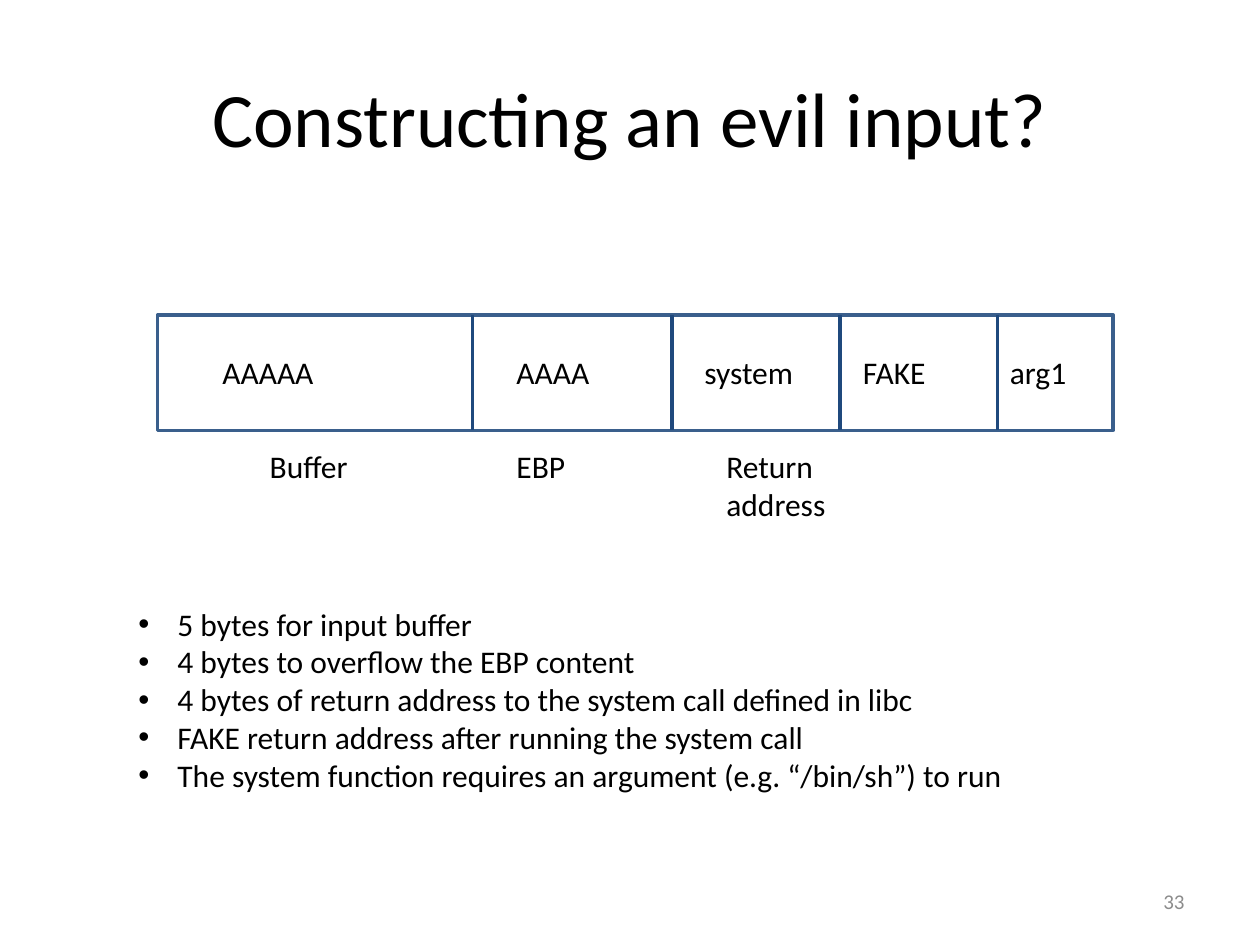
import pptx
import pptx.util
import pptx.dml.color
import pptx.enum.text
import pptx.enum.shapes
import pptx.oxml.ns
from dataclasses import dataclass
from lxml import etree

ALIGN = pptx.enum.text.PP_ALIGN
ANCHOR = pptx.enum.text.MSO_ANCHOR
COLUMNS, ROWS = 120, 90
WIDTH, HEIGHT = pptx.util.Inches(10), pptx.util.Inches(7.5)


@dataclass(frozen=True)
class Theme:
    font: str = "Calibri"
    ink: str = "000000"
    muted: str = "8C8C8C"
    frame: str = "3A5F8C"
    divider: str = "1F497D"
    title: float = 44
    body: float = 18
    small: float = 12
    frame_width: float = 2
    divider_width: float = 2.25


THEME = Theme()


def across(columns):
    return round(WIDTH * columns / COLUMNS)


def down(rows):
    return round(HEIGHT * rows / ROWS)


def area(left, top, width, height):
    return across(left), down(top), across(width), down(height)


def style_line(line, color, width):
    line.color.rgb = pptx.dml.color.RGBColor.from_string(color)
    line.width = pptx.util.Pt(width)


def add_text(page, text, place, size=THEME.body, color=THEME.ink,
             align=ALIGN.LEFT, anchor=ANCHOR.TOP, wrap=False, grow=True):
    box = page.shapes.add_textbox(*area(*place))
    frame = box.text_frame
    frame.text = text
    frame.word_wrap = wrap
    frame.vertical_anchor = anchor
    fit = pptx.enum.text.MSO_AUTO_SIZE
    frame.auto_size = fit.SHAPE_TO_FIT_TEXT if grow else fit.NONE
    for para in frame.paragraphs:
        para.alignment = align
        for span in para.runs:
            span.font.name = THEME.font
            span.font.size = pptx.util.Pt(size)
            span.font.color.rgb = pptx.dml.color.RGBColor.from_string(color)
    return box


def add_bullets(page, items, place):
    box = add_text(page, "\n".join(items), place)
    indent = pptx.util.Inches(0.31)
    for para in box.text_frame.paragraphs:
        properties = para._p.get_or_add_pPr()
        properties.set("marL", str(indent))
        properties.set("indent", str(-indent))
        font = etree.SubElement(properties, pptx.oxml.ns.qn("a:buFont"))
        font.set("typeface", "Arial")
        bullet = etree.SubElement(properties, pptx.oxml.ns.qn("a:buChar"))
        bullet.set("char", "•")


def add_memory(page, edges, top, bottom):
    left, *dividers, right = edges
    bar = page.shapes.add_shape(pptx.enum.shapes.MSO_SHAPE.RECTANGLE,
                                *area(left, top, right - left, bottom - top))
    bar.shadow.inherit = False
    bar.fill.background()
    style_line(bar.line, THEME.frame, THEME.frame_width)
    for column in dividers:
        divider = page.shapes.add_connector(
            pptx.enum.shapes.MSO_CONNECTOR.STRAIGHT,
            across(column), down(top), across(column), down(bottom))
        style_line(divider.line, THEME.divider, THEME.divider_width)
        etree.SubElement(divider._element.spPr, pptx.oxml.ns.qn("a:effectLst"))


def add_labels(page, labels, top):
    for text, left, width in labels:
        add_text(page, text, (left, top, width, 4.8))


def main():
    deck = pptx.Presentation()
    deck.slide_width, deck.slide_height = WIDTH, HEIGHT
    page = deck.slides.add_slide(deck.slide_layouts[6])

    add_text(page, "Constructing an evil input?", (6, 3.6, 108, 15),
             size=THEME.title, align=ALIGN.CENTER, anchor=ANCHOR.MIDDLE,
             wrap=True, grow=False)
    add_memory(page, (15, 45, 64, 80, 95, 106), 30, 41)
    add_labels(page, [("AAAAA", 20, 11.2), ("AAAA", 48, 9.4),
                      ("system", 65.9, 10.9), ("FAKE", 81, 8.4),
                      ("arg1", 95, 7.8)], 33)
    add_labels(page, [("Buffer", 24.5, 10), ("EBP", 48, 7.1)], 42)
    add_text(page, "Return address", (68, 42, 14, 8.5), wrap=True)
    add_bullets(page, [
        "5 bytes for input buffer",
        "4 bytes to overflow the EBP content",
        "4 bytes of return address to the system call defined in libc",
        "FAKE return address after running the system call",
        "The system function requires an argument (e.g. “/bin/sh”) to run",
    ], (12, 57, 85, 19.4))
    add_text(page, "33", (86, 83.4, 28, 4.8), size=THEME.small,
             color=THEME.muted, align=ALIGN.RIGHT, anchor=ANCHOR.MIDDLE,
             wrap=True, grow=False)
    deck.save("out.pptx")


main()
